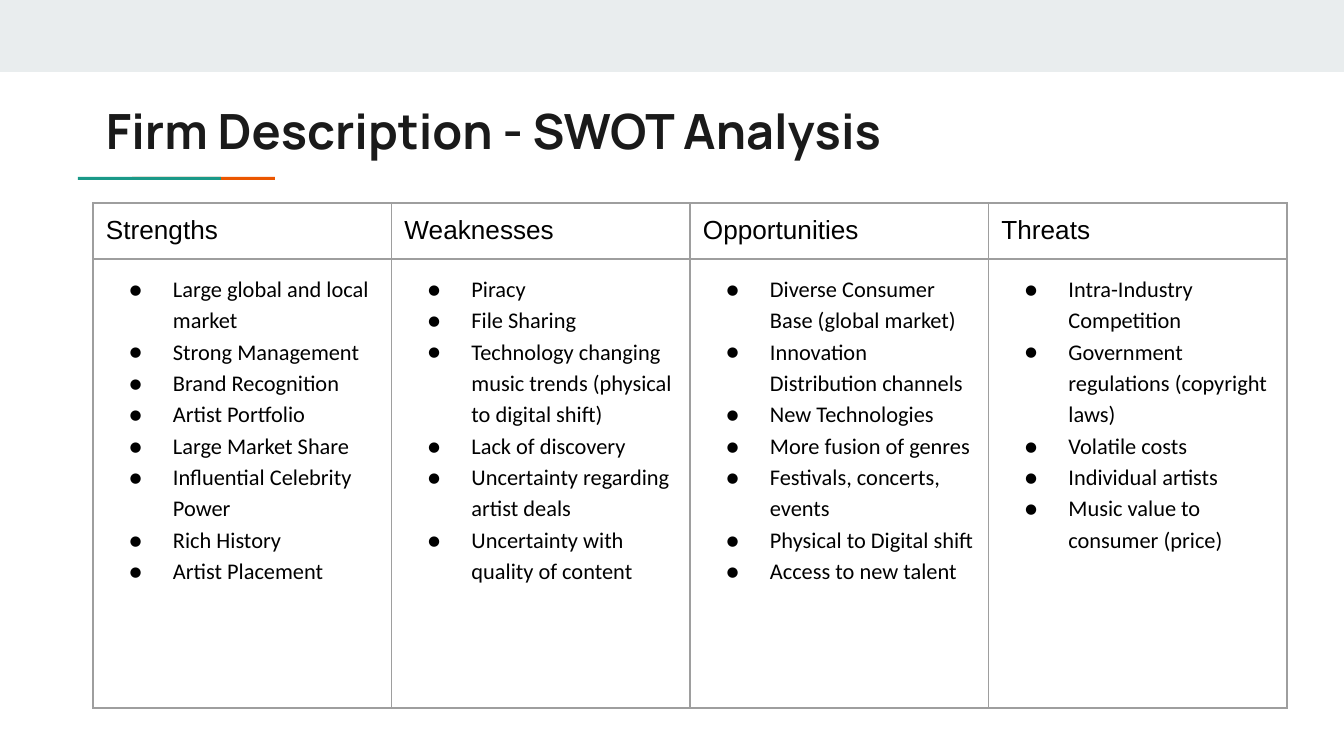
from dataclasses import dataclass
from lxml.etree import SubElement, fromstring
from pptx import Presentation
from pptx.dml.color import RGBColor as RGB
from pptx.enum.shapes import MSO_SHAPE as Shape
from pptx.enum.text import MSO_ANCHOR as Anchor
from pptx.oxml.ns import qn
from pptx.util import Pt

NS = "http://schemas.openxmlformats.org/drawingml/2006/main"


def px(n):
    return round(n * 914400 / 134.4)


@dataclass(frozen=True)
class Theme:
    band: str = "E9EDEE"
    teal: str = "1A9988"
    flame: str = "EB5600"
    ink: str = "1A1A1A"
    black: str = "000000"
    rule: str = "9E9E9E"
    title: tuple = ("Manrope", 26)
    head: tuple = ("Arial", 14)
    body: tuple = ("Calibri", 12)
    inset: int = 13
    indent: int = 67
    hang: int = 44


class Deck:
    def __init__(self, theme):
        self.theme = theme
        self.prs = Presentation()
        self.prs.slide_width, self.prs.slide_height = px(1344), px(756)
        self.slide = self.prs.slides.add_slide(self.prs.slide_layouts[6])

    def bar(self, x, y, w, h, color):
        box = self.slide.shapes.add_shape(Shape.RECTANGLE, px(x), px(y), px(w), px(h))
        box.shadow.inherit = False
        box.fill.solid()
        box.fill.fore_color.rgb = RGB.from_string(color)
        box.line.fill.background()

    def style(self, para, face, color, bold=False):
        for run in para.runs:
            run.font.name, run.font.size = face[0], Pt(face[1])
            run.font.bold = bold
            run.font.color.rgb = RGB.from_string(color)

    def pad(self, item):
        item.margin_left = item.margin_right = px(self.theme.inset)
        item.margin_top = item.margin_bottom = px(self.theme.inset)
        item.vertical_anchor = Anchor.TOP

    def title(self, x, y, w, h, text):
        frame = self.slide.shapes.add_textbox(px(x), px(y), px(w), px(h)).text_frame
        frame.word_wrap = True
        self.pad(frame)
        frame.text = text
        self.style(frame.paragraphs[0], self.theme.title, self.theme.ink, True)

    def bullet(self, para):
        para.line_spacing = 1.15
        props = para._p.get_or_add_pPr()
        props.set("marL", str(px(self.theme.indent)))
        props.set("indent", str(-px(self.theme.hang)))
        color = SubElement(props, qn("a:buClr"))
        SubElement(color, qn("a:srgbClr"), val=self.theme.black)
        SubElement(props, qn("a:buFont"), typeface=self.theme.body[0])
        SubElement(props, qn("a:buChar"), char="●")

    def border(self, cell):
        props = cell._tc.get_or_add_tcPr()
        for i, side in enumerate("LRTB"):
            props.insert(i, fromstring(
                f'<a:ln{side} xmlns:a="{NS}" w="{Pt(0.75)}"><a:solidFill>'
                f'<a:srgbClr val="{self.theme.rule}"/></a:solidFill></a:ln{side}>'))

    def cell(self, cell, lines, face, dots=False):
        self.pad(cell)
        cell.fill.background()
        self.border(cell)
        cell.text_frame.text = "\n".join(lines)
        for para in cell.text_frame.paragraphs:
            if dots:
                self.bullet(para)
            self.style(para, face, self.theme.black)

    def table(self, x, y, w, rows, data):
        grid = self.slide.shapes.add_table(
            2, len(data), px(x), px(y), px(w), px(sum(rows))).table
        grid.first_row = grid.horz_banding = False
        for row, h in zip(grid.rows, rows):
            row.height = px(h)
        for i, (head, points) in enumerate(data.items()):
            self.cell(grid.cell(0, i), [head], self.theme.head)
            self.cell(grid.cell(1, i), points, self.theme.body, True)


SWOT = {
    "Strengths": [
        "Large global and local market", "Strong Management",
        "Brand Recognition", "Artist Portfolio", "Large Market Share",
        "Influential Celebrity Power", "Rich History", "Artist Placement"],
    "Weaknesses": [
        "Piracy", "File Sharing",
        "Technology changing music trends (physical to digital shift)",
        "Lack of discovery", "Uncertainty regarding artist deals",
        "Uncertainty with quality of content"],
    "Opportunities": [
        "Diverse Consumer Base (global market)",
        "Innovation Distribution channels", "New Technologies",
        "More fusion of genres", "Festivals, concerts, events",
        "Physical to Digital shift", "Access to new talent"],
    "Threats": [
        "Intra-Industry Competition",
        "Government regulations (copyright laws)", "Volatile costs",
        "Individual artists", "Music value to consumer (price)"],
}


def main():
    theme = Theme()
    deck = Deck(theme)
    # Top band
    deck.bar(0, 0, 1344, 72, theme.band)
    # Accent: two equal bars, teal over flame
    for x, color in ((132, theme.flame), (78, theme.teal)):
        deck.bar(x, 177, 143, 3, color)
    # SWOT table
    deck.table(93, 203, 1194, [56, 449], SWOT)
    # Title
    deck.title(93, 88, 1130, 79, "Firm Description - SWOT Analysis")
    deck.prs.save("out.pptx")


if __name__ == "__main__":
    main()
